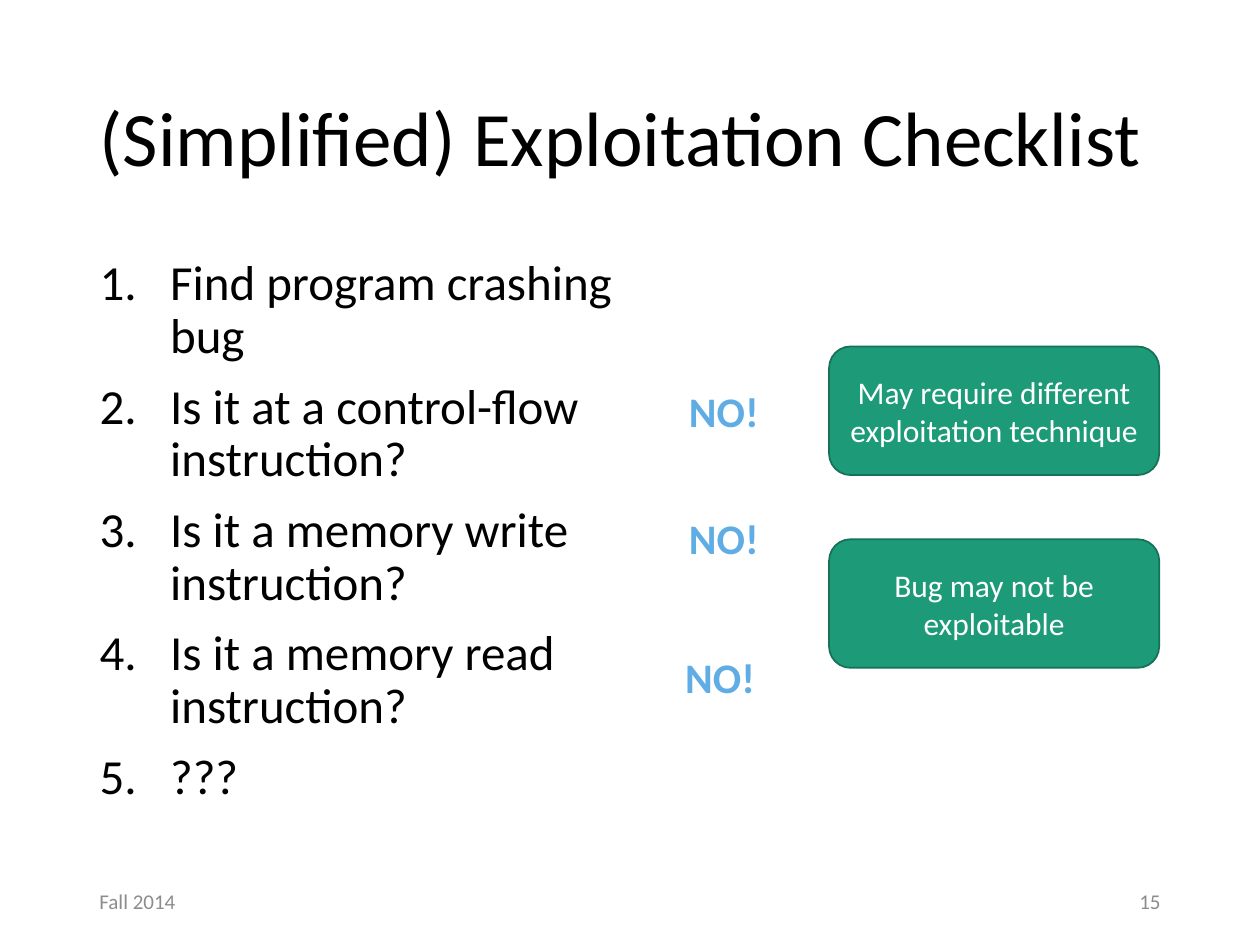
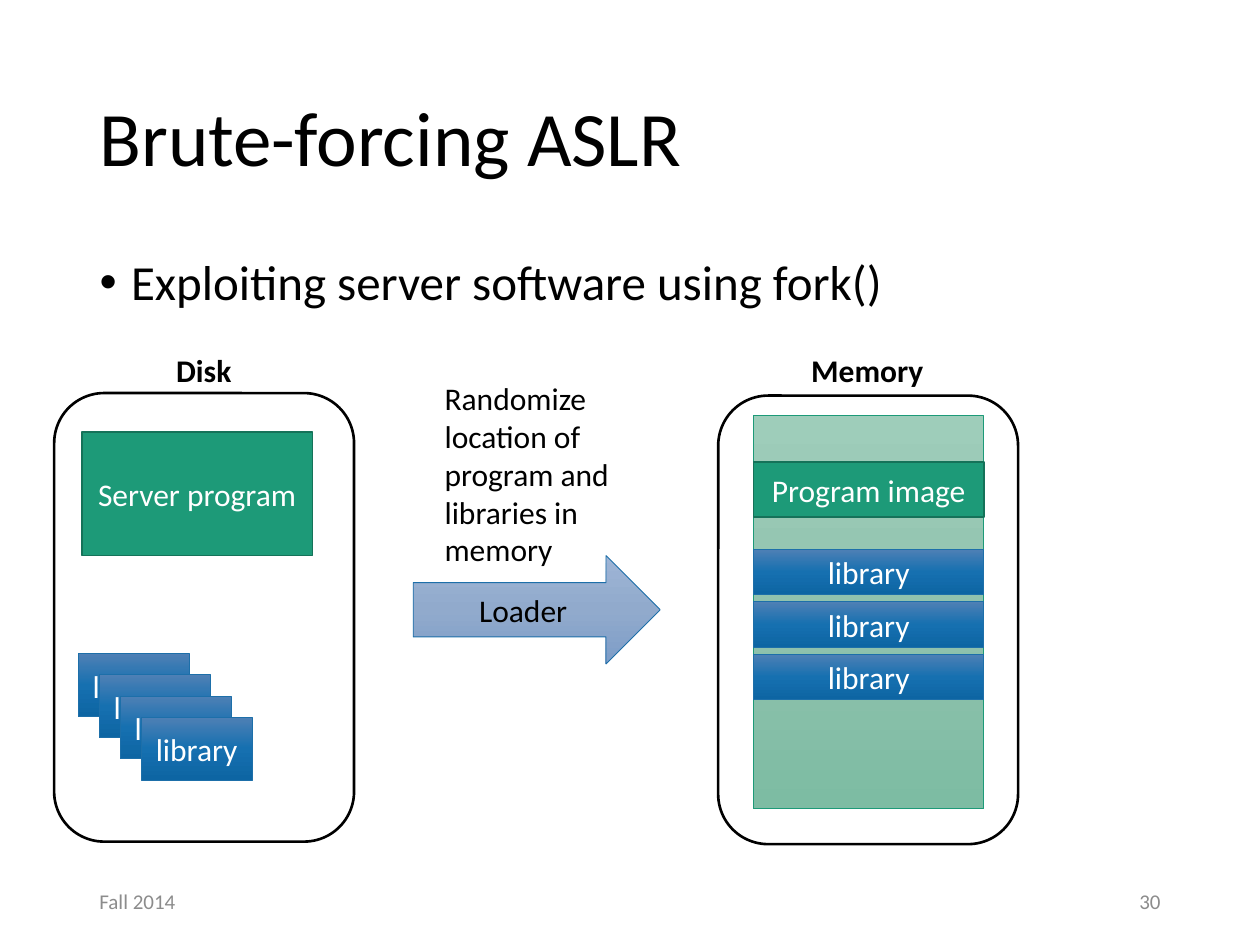
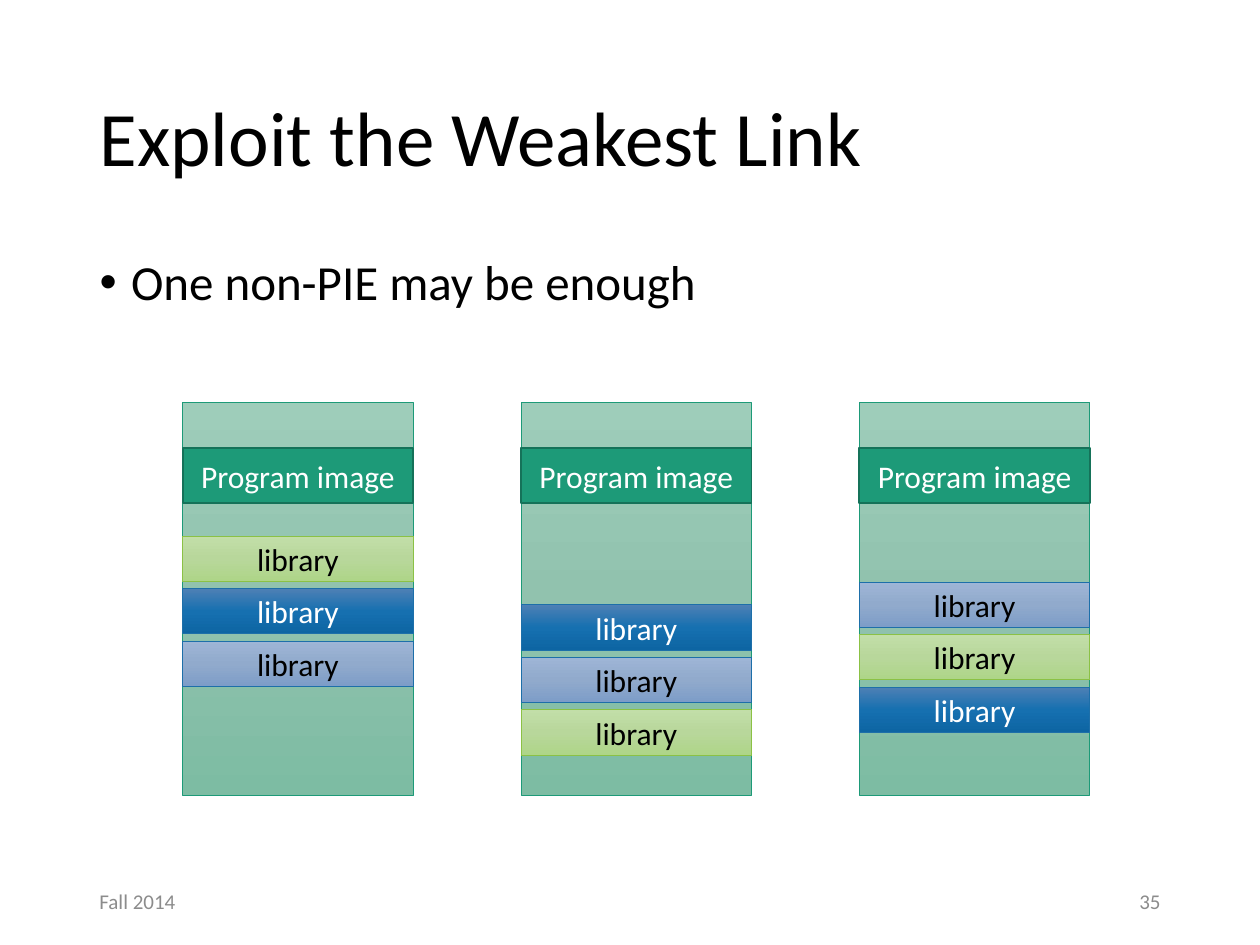
from copy import deepcopy
from dataclasses import dataclass
from typing import NamedTuple

from lxml.etree import SubElement
from pptx import Presentation
from pptx.dml.color import RGBColor
from pptx.enum.shapes import MSO_SHAPE as Form
from pptx.enum.text import MSO_ANCHOR as Anchor
from pptx.enum.text import MSO_AUTO_SIZE as Fit
from pptx.enum.text import PP_ALIGN as Align
from pptx.oxml.ns import qn
from pptx.util import Inches, Pt

COLS, ROWS = 100, 75
WIDE, HIGH = Inches(10), Inches(7.5)


class Box(NamedTuple):
    col: float
    row: float
    cols: float
    rows: float

    def place(self) -> tuple[int, int, int, int]:
        return (round(WIDE * self.col / COLS), round(HIGH * self.row / ROWS),
                round(WIDE * self.cols / COLS), round(HIGH * self.rows / ROWS))


class Style(NamedTuple):
    fill: tuple[str, ...]
    line: str
    width: float = 0.5
    ink: str = "000000"


class Mark(NamedTuple):
    tag: str
    field: str
    value: str
    indent: float


class Stack(NamedTuple):
    col: float
    row: float
    start: float
    styles: tuple[Style, ...]


@dataclass(frozen=True)
class Theme:
    font: str = "Calibri"
    ink: str = "000000"
    muted: str = "8C8C8C"
    alert: str = "5FADE4"
    head: int = 44
    body: int = 28
    call: int = 24
    label: int = 18
    foot: int = 12
    solid: Style = Style(("1D9A78",), "157259", 1, "FFFFFF")
    frame: Style = Style((), "000000", 1.5)
    space: Style = Style(("9ECDBA", "91C2AE", "7DBCA3"), "1D9A78")
    deep: Style = Style(("4E80B5", "1670B0", "0D65A3"), "1D6FA9", ink="FFFFFF")
    pale: Style = Style(("9EB5D6", "91AACC", "7D9DC8"), "1D6FA9")
    lime: Style = Style(("C2DEA8", "B8D79B", "AED588"), "8BC145")


THEME = Theme()
DOT = Mark("a:buChar", "char", "•", 0.25)
COUNT = Mark("a:buAutoNum", "type", "arabicPeriod", 0.56)
LEFT, FULL = 6.9, 86.2
STACK_COLS, LIB_ROWS, LIB_STEP = 18.3, 3.6, 4.17


def write(frame, *lines: str, size: float = THEME.label, ink: str = THEME.ink,
          bold: bool = False, align=Align.LEFT, anchor=Anchor.TOP, wrap: bool = True,
          fit=Fit.NONE, pitch: float = 1, gap: float = 0, mark: Mark | None = None) -> None:
    frame.word_wrap, frame.auto_size, frame.vertical_anchor = wrap, fit, anchor
    for spot, line in enumerate(lines):
        para = frame.add_paragraph() if spot else frame.paragraphs[0]
        para.alignment, para.line_spacing = align, pitch
        para.space_before = Pt(gap if spot else 0)
        if mark:
            props = para._p.get_or_add_pPr()
            props.set("marL", str(Inches(mark.indent)))
            props.set("indent", str(-Inches(mark.indent)))
            face = "Arial" if mark is DOT else THEME.font
            SubElement(props, qn("a:buFont")).set("typeface", face)
            SubElement(props, qn(mark.tag)).set(mark.field, mark.value)
        run = para.add_run()
        run.text = line
        run.font.name, run.font.size, run.font.bold = THEME.font, Pt(size), bold
        run.font.color.rgb = RGBColor.from_string(ink)


def note(slide, box: Box, text: str, **look) -> None:
    write(slide.shapes.add_textbox(*box.place()).text_frame, text, **look)


def paint(shape, tones: tuple[str, ...]) -> None:
    fill = shape.fill
    if not tones:
        fill.background()
    elif len(tones) == 1:
        fill.solid()
        fill.fore_color.rgb = RGBColor.from_string(tones[0])
    else:
        fill.gradient()
        fill.gradient_angle = 270
        stops = shape._element.spPr.find(qn("a:gradFill")).find(qn("a:gsLst"))
        stops.insert(1, deepcopy(stops[0]))
        for spot, (stop, tone) in enumerate(zip(fill.gradient_stops, tones)):
            stop.position = spot / (len(tones) - 1)
            stop.color.rgb = RGBColor.from_string(tone)


def block(slide, box: Box, style: Style, text: str = "", form=Form.RECTANGLE) -> None:
    shape = slide.shapes.add_shape(form, *box.place())
    shape.shadow.inherit = False
    paint(shape, style.fill)
    shape.line.color.rgb = RGBColor.from_string(style.line)
    shape.line.width = Pt(style.width)
    if text:
        write(shape.text_frame, text, ink=style.ink, align=Align.CENTER, anchor=Anchor.MIDDLE)


def pile(slide, stack: Stack) -> None:
    col, row, start, styles = stack
    block(slide, Box(col, row, STACK_COLS, 31.2), THEME.space)
    block(slide, Box(col, row + 3.65, STACK_COLS, 4.4), THEME.solid, "Program image")
    for spot, style in enumerate(styles):
        top = row + start + spot * LIB_STEP
        block(slide, Box(col, top, STACK_COLS, LIB_ROWS), style, "library")


def begin(deck, title: str, page: int, lines: tuple[str, ...], mark: Mark,
          cols: float, rows: float):
    slide = deck.slides.add_slide(deck.slide_layouts[1])
    head, body = slide.placeholders
    for holder, box in ((head, Box(LEFT, 4, FULL, 14.5)), (body, Box(LEFT, 20, cols, rows))):
        holder.left, holder.top, holder.width, holder.height = box.place()
    write(head.text_frame, title, size=THEME.head, anchor=Anchor.MIDDLE, pitch=0.9)
    write(body.text_frame, *lines, size=THEME.body, pitch=0.9, gap=10, mark=mark)
    for col, text, align in ((LEFT, "Fall 2014", Align.LEFT), (70.6, str(page), Align.RIGHT)):
        note(slide, Box(col, 69.5, 22.5, 4), text, size=THEME.foot, ink=THEME.muted,
             align=align, anchor=Anchor.MIDDLE)
    return slide


def checks(deck) -> None:
    steps = ("Find program crashing bug", "Is it at a control-flow instruction?",
             "Is it a memory write instruction?", "Is it a memory read instruction?", "???")
    slide = begin(deck, "(Simplified) Exploitation Checklist", 15, steps, COUNT, 46.8, 49.5)
    for col, row in ((53.7, 30.1), (53.7, 40.2), (53.4, 51.2)):
        note(slide, Box(col, row, 7.6, 5), "NO!", size=THEME.call, ink=THEME.alert,
             bold=True, wrap=False, fit=Fit.SHAPE_TO_FIT_TEXT)
    for row, text in ((27.5, "May require different exploitation technique"),
                      (42.8, "Bug may not be exploitable")):
        block(slide, Box(65.8, row, 26.2, 10.2), THEME.solid, text, Form.ROUNDED_RECTANGLE)


def brute(deck) -> None:
    slide = begin(deck, "Brute-forcing ASLR", 30,
                  ("Exploiting server software using fork()",), DOT, FULL, 8.5)
    block(slide, Box(6.5, 34.3, 18.3, 9.8), THEME.solid, "Server program")
    for spot in range(4):
        shift = spot * 1.67
        block(slide, Box(6.2 + shift, 51.9 + shift, 8.8, 5), THEME.deep, "library")
    for col, row, left, cols, text in ((4.3, 31.2, 13, 6.4, "Disk"),
                                       (57, 31.4, 63.4, 11, "Memory")):
        block(slide, Box(col, row, 23.8, 35.6), THEME.frame, form=Form.ROUNDED_RECTANGLE)
        note(slide, Box(left, 27.4, cols, 4), text, bold=True, wrap=False,
             fit=Fit.SHAPE_TO_FIT_TEXT)
    pile(slide, Stack(59.8, 33, 10.6, (THEME.deep,) * 3))
    block(slide, Box(32.8, 44.1, 19.6, 8.6), THEME.pale, "Loader", Form.RIGHT_ARROW)
    note(slide, Box(34.3, 29.6, 20.1, 16.2),
         "Randomize location of program and libraries in memory", fit=Fit.SHAPE_TO_FIT_TEXT)


def weak(deck) -> None:
    slide = begin(deck, "Exploit the Weakest Link", 35,
                  ("One non-PIE may be enough",), DOT, FULL, 47.6)
    deep, pale, lime = THEME.deep, THEME.pale, THEME.lime
    plans = ((10.65, (lime, deep, pale)), (16.1, (deep, pale, lime)), (14.3, (pale, lime, deep)))
    for spot, (start, styles) in enumerate(plans):
        pile(slide, Stack(14.5 + spot * 26.85, 31.9, start, styles))


def main() -> None:
    deck = Presentation()
    deck.slide_width, deck.slide_height = WIDE, HIGH
    for build in (checks, brute, weak):
        build(deck)
    deck.save("out.pptx")


if __name__ == "__main__":
    main()
